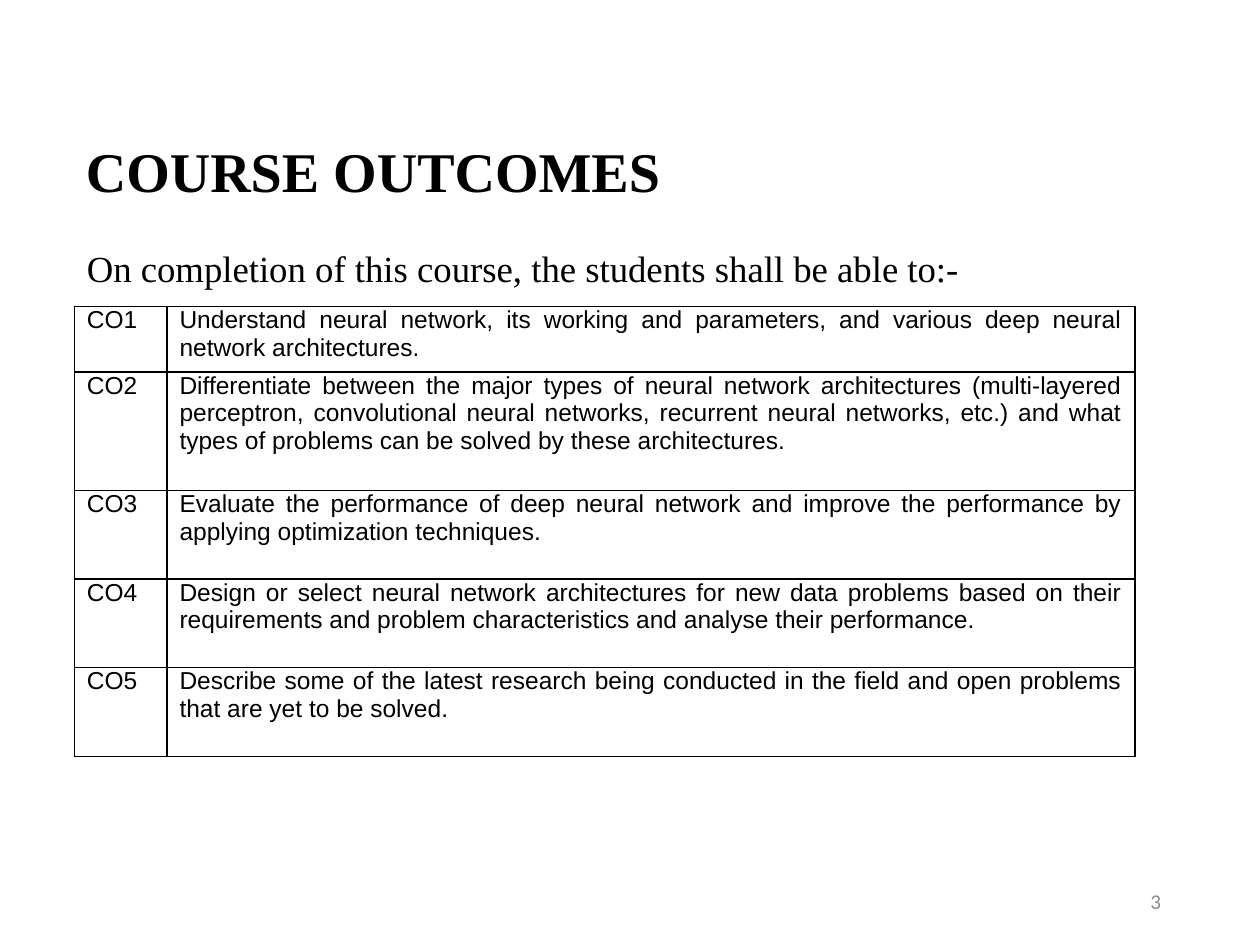
from dataclasses import dataclass

from lxml import etree
from pptx import Presentation
from pptx.dml.color import RGBColor
from pptx.enum.text import MSO_ANCHOR, PP_ALIGN
from pptx.oxml.ns import qn
from pptx.util import Pt

LEFT, RIGHT, JUSTIFY = PP_ALIGN.LEFT, PP_ALIGN.RIGHT, PP_ALIGN.JUSTIFY
TOP, MIDDLE, BOTTOM = MSO_ANCHOR.TOP, MSO_ANCHOR.MIDDLE, MSO_ANCHOR.BOTTOM


@dataclass(frozen=True)
class Theme:
    """Colours, fonts and type sizes of the slide."""
    ink: str = "000000"
    muted: str = "8C8C8C"
    serif: str = "Times New Roman"
    sans: str = "Arial"
    number_font: str = "Calibri"
    title_size: float = 32
    intro_size: float = 21
    table_size: float = 14
    number_size: float = 12


THEME = Theme()
COLUMN_WIDTHS = (52.9, 553.1)
ROW_HEIGHTS = (37.6, 67.6, 50.7, 50.7, 50.7)
OUTCOMES = (
    "Understand neural network, its working and parameters, and various deep "
    "neural network architectures.",
    "Differentiate between the major types of neural network architectures "
    "(multi-layered perceptron, convolutional neural networks, recurrent neural "
    "networks, etc.) and what types of problems can be solved by these architectures.",
    "Evaluate the performance of deep neural network and improve the performance "
    "by applying optimization techniques.",
    "Design or select neural network architectures for new data problems based on "
    "their requirements and problem characteristics and analyse their performance.",
    "Describe some of the latest research being conducted in the field and open "
    "problems that are yet to be solved.",
)


def write_text(frame, text, *, font, size, color=THEME.ink, bold=False,
               align=LEFT, line_spacing=None):
    """Write one formatted paragraph into a text frame."""
    paragraph = frame.paragraphs[0]
    paragraph.alignment = align
    paragraph.line_spacing = line_spacing
    run = paragraph.add_run()
    run.text = text
    run.font.name = font
    run.font.size = Pt(size)
    run.font.bold = bold
    run.font.color.rgb = RGBColor.from_string(color)


def add_text(slide, text, box, *, anchor=TOP, wrap=True, **text_format):
    """Add a text box at (left, top, width, height)."""
    frame = slide.shapes.add_textbox(*map(Pt, box)).text_frame
    frame.word_wrap = wrap
    frame.vertical_anchor = anchor
    write_text(frame, text, **text_format)


def add_borders(cell):
    """Draw a thin line on all four sides of a cell."""
    properties = cell._tc.get_or_add_tcPr()
    for side in ("a:lnL", "a:lnR", "a:lnT", "a:lnB"):
        line = etree.SubElement(properties, qn(side), w=str(Pt(1)))
        fill = etree.SubElement(line, qn("a:solidFill"))
        etree.SubElement(fill, qn("a:srgbClr"), val=THEME.ink)


def fill_cell(cell, text, align):
    """Format a table cell and write its text."""
    cell.margin_left = cell.margin_right = Pt(7.2)
    cell.margin_top = cell.margin_bottom = 0
    add_borders(cell)
    cell.fill.background()
    write_text(cell.text_frame, text, font=THEME.sans, size=THEME.table_size,
               align=align)


def add_outcomes_table(slide, left, top):
    """Add the table of numbered course outcomes."""
    size = sum(COLUMN_WIDTHS), sum(ROW_HEIGHTS)
    table = slide.shapes.add_table(
        len(OUTCOMES), len(COLUMN_WIDTHS), Pt(left), Pt(top), *map(Pt, size)).table
    table.first_row = table.horz_banding = False
    for column, width in zip(table.columns, COLUMN_WIDTHS):
        column.width = Pt(width)
    for index, (height, outcome) in enumerate(zip(ROW_HEIGHTS, OUTCOMES)):
        table.rows[index].height = Pt(height)
        fill_cell(table.cell(index, 0), f"CO{index + 1}", LEFT)
        fill_cell(table.cell(index, 1), outcome, JUSTIFY)


def main():
    """Build and save the course outcomes slide."""
    presentation = Presentation()
    presentation.slide_width, presentation.slide_height = Pt(720), Pt(540)
    slide = presentation.slides.add_slide(presentation.slide_layouts[6])
    add_text(slide, "COURSE OUTCOMES", (42, 77.8, 657, 42.5), anchor=BOTTOM,
             font=THEME.serif, size=THEME.title_size, bold=True, line_spacing=0.9)
    add_text(slide, "3", (508.5, 500.5, 162, 28.8), anchor=MIDDLE, align=RIGHT,
             font=THEME.number_font, size=THEME.number_size, color=THEME.muted)
    add_text(slide, "On completion of this course, the students shall be able to:-",
             (42.5, 136.8, 519, 32.4), wrap=False,
             font=THEME.serif, size=THEME.intro_size)
    add_outcomes_table(slide, 42.5, 175)
    presentation.save("out.pptx")


if __name__ == "__main__":
    main()
